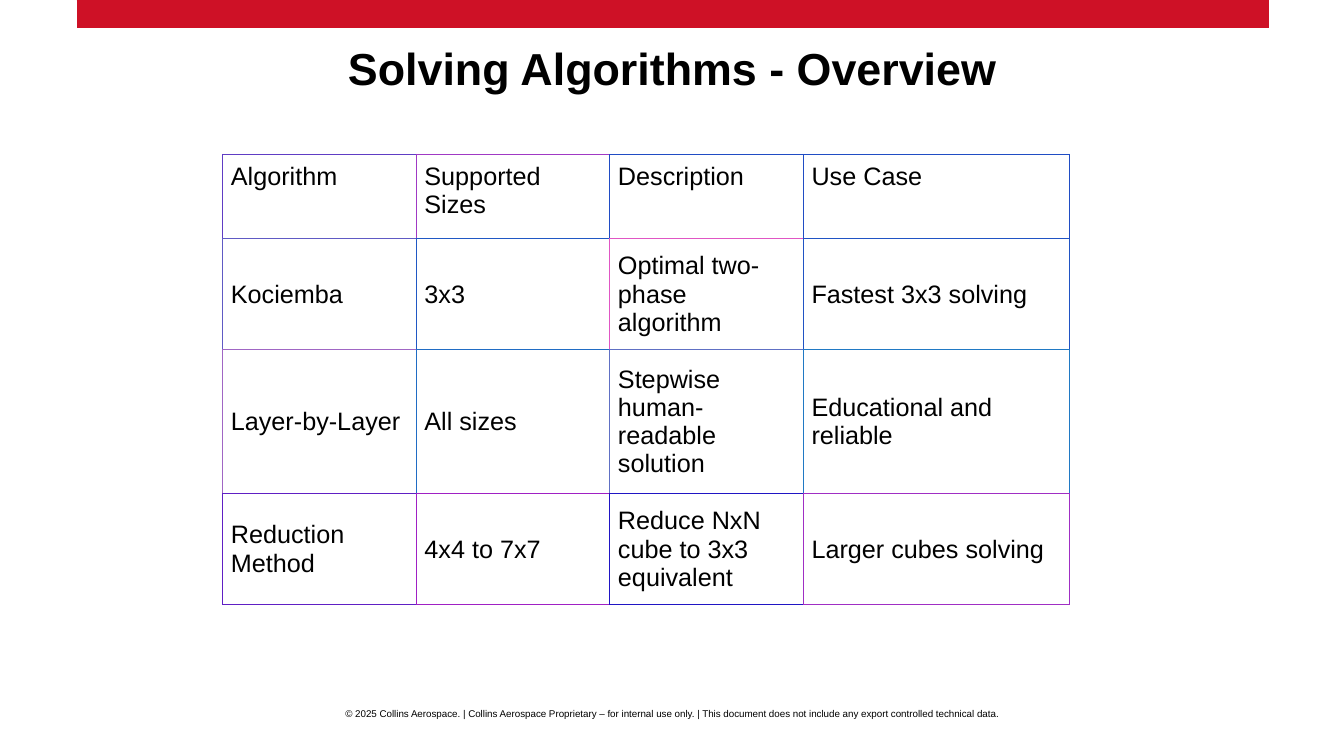
from dataclasses import dataclass

from lxml import etree
from pptx import Presentation
from pptx import util as u
from pptx.dml.color import RGBColor
from pptx.enum import shapes, text
from pptx.oxml.ns import qn


@dataclass(frozen=True)
class Theme:
    font: str = "Arial"
    ink: str = "000000"
    accent: str = "CE1126"
    title_size: float = 32
    table_size: float = 18
    footer_size: float = 7
    banner_width: float = 20
    border_width: float = 0.75


# Table content, with one border colour per cell
ROWS = [
    ["Algorithm", "Supported Sizes", "Description", "Use Case"],
    ["Kociemba", "3x3", "Optimal two-phase algorithm", "Fastest 3x3 solving"],
    ["Layer-by-Layer", "All sizes", "Stepwise human-readable solution", "Educational and reliable"],
    ["Reduction Method", "4x4 to 7x7", "Reduce NxN cube to 3x3 equivalent", "Larger cubes solving"],
]
BORDERS = [
    ["603DC4", "A039C4", "204CC4", "204DC4"],
    ["605AC4", "2058C4", "E056C4", "2053C4"],
    ["A066C4", "206CC4", "6070C4", "2079C4"],
    ["601FC4", "A020C4", "2015C4", "A02EC4"],
]
COLUMN_WIDTHS = [1.92, 1.92, 1.92, 2.64]
ROW_HEIGHTS = [0.84, 1.1, 1.43, 1.1]
FOOTER = ("© 2025 Collins Aerospace. | Collins Aerospace Proprietary – for internal use only. | "
          "This document does not include any export controlled technical data.")


class SlideBuilder:
    def __init__(self, slide, theme):
        self.slide = slide
        self.theme = theme

    def format_text(self, frame, size, bold=False, align=text.PP_ALIGN.LEFT, spacing=1.0):
        frame.word_wrap = True
        for paragraph in frame.paragraphs:
            paragraph.alignment = align
            paragraph.line_spacing = spacing
            for run in paragraph.runs:
                run.font.name = self.theme.font
                run.font.size = u.Pt(size)
                run.font.bold = bold
                run.font.color.rgb = RGBColor.from_string(self.theme.ink)

    def place_text(self, shape, box, content, size, **style):
        shape.left, shape.top, shape.width, shape.height = map(u.Inches, box)
        frame = shape.text_frame
        frame.text = content
        frame.margin_left = frame.margin_right = frame.margin_top = frame.margin_bottom = 0
        frame.vertical_anchor = text.MSO_ANCHOR.TOP
        frame.auto_size = text.MSO_AUTO_SIZE.NONE
        self.format_text(frame, size, align=text.PP_ALIGN.CENTER, **style)

    def banner(self, left, right, y):
        line = self.slide.shapes.add_connector(
            shapes.MSO_CONNECTOR.STRAIGHT, u.Inches(left), u.Inches(y), u.Inches(right), u.Inches(y))
        line.line.color.rgb = RGBColor.from_string(self.theme.accent)
        line.line.width = u.Pt(self.theme.banner_width)
        etree.SubElement(line._element.spPr, qn("a:effectLst"))

    def title(self, box, content):
        self.place_text(self.slide.shapes.title, box, content, self.theme.title_size,
                        bold=True, spacing=0.8)

    def footer(self, box, content):
        shape = self.slide.shapes.add_textbox(0, 0, 0, 0)
        self.place_text(shape, box, content, self.theme.footer_size)

    def cell_borders(self, cell, colors):
        properties = cell._tc.get_or_add_tcPr()
        for index, (side, color) in enumerate(colors.items()):
            line = etree.Element(qn(f"a:ln{side}"), w=str(u.Pt(self.theme.border_width)))
            fill = etree.SubElement(line, qn("a:solidFill"))
            etree.SubElement(fill, qn("a:srgbClr"), val=color)
            properties.insert(index, line)

    def table(self, left, top, rows, borders, widths, heights):
        table = self.slide.shapes.add_table(
            len(rows), len(widths), u.Inches(left), u.Inches(top),
            u.Inches(sum(widths)), u.Inches(sum(heights))).table
        table.first_row = table.horz_banding = False
        for column, width in zip(table.columns, widths):
            column.width = u.Inches(width)
        for row, height in zip(table.rows, heights):
            row.height = u.Inches(height)
        last_row, last_column = len(rows) - 1, len(widths) - 1
        for r, row in enumerate(rows):
            for c, content in enumerate(row):
                cell = table.cell(r, c)
                cell.text_frame.text = content
                cell.margin_left = cell.margin_right = u.Inches(0.08)
                cell.margin_top = cell.margin_bottom = u.Inches(0.05 if r else 0.08)
                cell.vertical_anchor = text.MSO_ANCHOR.MIDDLE if r else text.MSO_ANCHOR.TOP
                cell.fill.background()
                self.format_text(cell.text_frame, self.theme.table_size)
                # Shared edges take the colour of the cell to the right or below
                own = borders[r][c]
                self.cell_borders(cell, {
                    "L": own,
                    "R": borders[r][min(c + 1, last_column)],
                    "T": own,
                    "B": borders[min(r + 1, last_row)][c],
                })


def main():
    presentation = Presentation()
    presentation.slide_width = u.Inches(13.33)
    presentation.slide_height = u.Inches(7.5)
    slide = presentation.slides.add_slide(presentation.slide_layouts.get_by_name("Title Only"))
    builder = SlideBuilder(slide, Theme())

    # Banner and title
    builder.banner(0.76, 12.59, 0.14)
    builder.title((0.76, 0.51, 11.82, 0.74), "Solving Algorithms - Overview")

    # Algorithm comparison
    builder.table(2.21, 1.53, ROWS, BORDERS, COLUMN_WIDTHS, ROW_HEIGHTS)

    # Footer
    builder.footer((0, 7.02, 13.33, 0.11), FOOTER)

    presentation.save("out.pptx")


if __name__ == "__main__":
    main()
